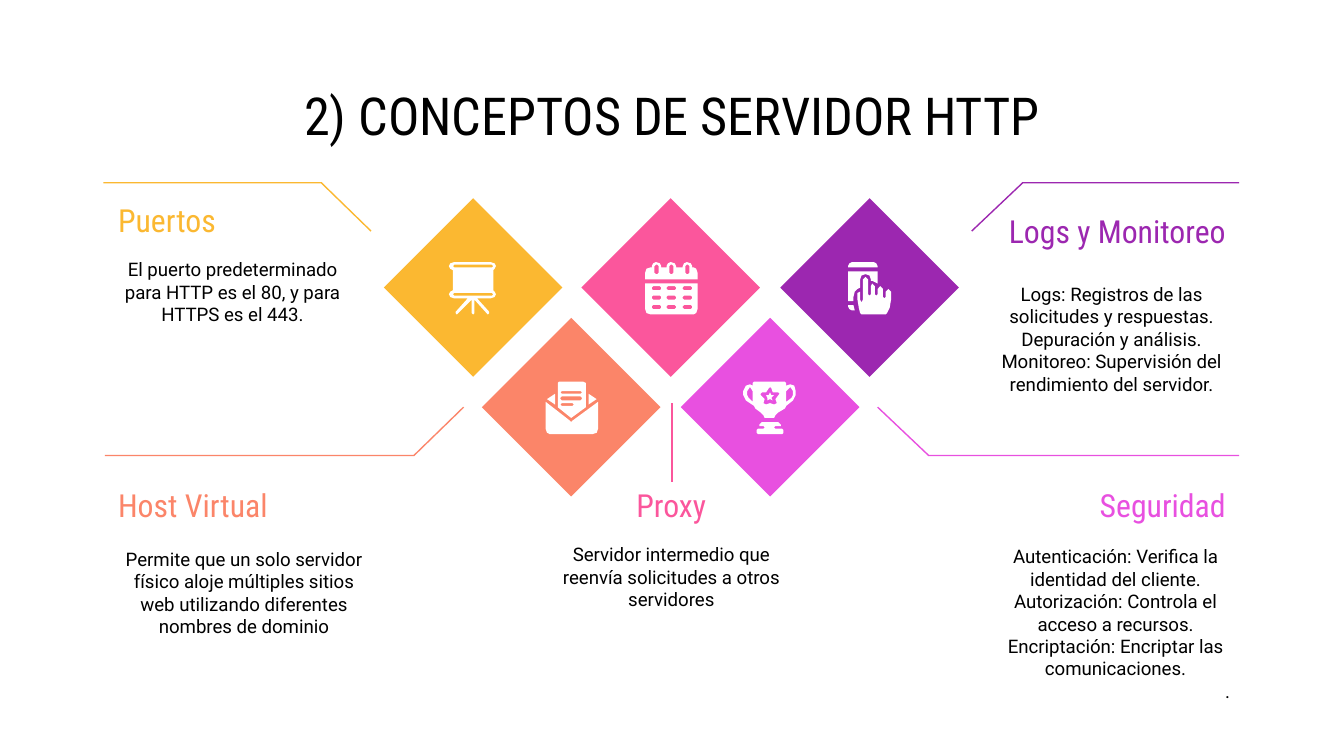
from itertools import product

from lxml import etree
from pptx import Presentation
from pptx.dml.color import RGBColor
from pptx.enum.shapes import MSO_CONNECTOR, MSO_SHAPE
from pptx.enum.text import MSO_ANCHOR, PP_ALIGN
from pptx.oxml.ns import qn
from pptx.util import Pt

PX = 9144
PAGE_WIDTH = 1000 * PX
PAGE_HEIGHT = PAGE_WIDTH * 9 // 16
RECTANGLE, STRAIGHT = MSO_SHAPE.RECTANGLE, MSO_CONNECTOR.STRAIGHT
MIDDLE = MSO_ANCHOR.MIDDLE
LEFT, CENTER, RIGHT = PP_ALIGN.LEFT, PP_ALIGN.CENTER, PP_ALIGN.RIGHT
COLORS = {"yellow": "FBB831", "pink": "FB569C", "purple": "9C27B0", "coral": "FB8569",
          "magenta": "E850E0", "white": "FFFFFF", "black": "000000"}
TITLE = {"font": {"name": "Roboto Condensed", "size": Pt(28)}, "margins": (0, 10)}
HEADING = {"font": {"name": "Roboto Condensed", "size": Pt(17)}, "margins": (10, 32)}
BODY = {"font": {"name": "Roboto", "size": Pt(10)}, "margins": (10, 10)}
DIAMOND_SIDE, ICON_INSET = 94, 28


def pill(left, top, right, bottom):
    """Return the outline of a bar with cut corners."""
    return [(left + 1, top), (right - 1, top), (right, top + 1), (right, bottom - 1),
            (right - 1, bottom), (left + 1, bottom), (left, bottom - 1), (left, top + 1)]


CALENDAR = [
    [[(0, 16), (0, 35), (1, 38), (4, 39), (36, 39), (38, 38), (39, 35), (39, 16)],
     *(pill(x, y, x + 7, y + 3) for y, x in product((18, 25, 32), (5, 16, 28)))],
    [[(0, 13), (0, 8), (1, 5), (4, 4),
      *((x + dx, y) for x in (5, 16, 28)
        for dx, y in ((0, 4), (0, 3), (1, 1), (3, 0), (6, 1), (7, 3), (7, 4))),
      (36, 4), (38, 5), (39, 8), (39, 13)],
     *(pill(x, 2, x + 3, 9) for x in (7, 18, 30))],
]
BOARD = [
    [[(5, 0), (2, 1), (1, 3), (2, 5), (4, 6), (4, 21), (2, 22), (1, 24), (2, 26), (5, 27),
      (15, 27), (6, 37), (6, 38), (7, 39), (8, 38), (18, 28), (18, 38), (19, 39), (20, 38),
      (20, 28), (29, 38), (30, 39), (31, 38), (31, 37), (22, 27), (32, 27), (35, 26),
      (36, 24), (35, 22), (34, 21), (34, 6), (35, 5), (36, 3), (35, 1), (32, 0)],
     pill(4, 2, 34, 4), pill(4, 23, 34, 25)],
]
ENVELOPE = [
    [[(0, 15), (0, 35), (1, 38), (3, 39), (35, 39), (38, 38), (39, 35), (39, 15),
      (20, 29), (19, 30), (18, 29)]],
    [[(32, 9), (32, 17), (38, 13)]],
    [[(7, 9), (1, 13), (7, 17)]],
    [[(10, 0), (9, 1), (9, 19), (19, 27), (30, 19), (30, 1), (28, 0)],
     pill(11, 7, 27, 9), pill(11, 11, 27, 14), pill(11, 16, 21, 18)],
]
TROPHY = [
    [[(7, 0), (6, 1), (6, 3), (4, 2), (1, 3), (-1, 7), (-1, 10), (1, 14), (7, 18), (8, 20),
      (12, 23), (14, 25), (15, 27), (22, 27), (23, 25), (25, 23), (30, 20), (31, 18),
      (36, 14), (38, 10), (38, 7), (37, 3), (34, 2), (31, 3), (31, 1), (30, 0)],
     [(4, 4), (6, 7), (6, 15), (3, 12), (2, 10), (2, 7)],
     [(34, 4), (36, 7), (36, 10), (35, 12), (31, 15), (31, 7)],
     [(19, 4), (20, 5), (21, 8), (25, 8), (26, 9), (23, 13), (24, 16), (22, 17), (19, 16),
      (16, 17), (14, 16), (15, 13), (12, 10), (12, 9), (13, 8), (16, 8), (18, 5)]],
    [[(13, 30), (11, 32), (11, 33), (14, 33), (15, 34), (14, 35), (10, 35), (9, 36),
      (9, 38), (10, 39), (28, 39), (29, 38), (29, 36), (28, 35), (23, 35), (22, 34),
      (23, 33), (27, 33), (27, 32), (25, 30)]],
    [[(19, 8), (18, 10), (16, 10), (17, 12), (17, 14), (19, 13), (21, 14), (20, 12),
      (22, 10), (20, 10)]],
]
PHONE = [
    [[(3, 32), (3, 33), (4, 35), (6, 36), (8, 36), (7, 32)]],
    [[(3, 7), (3, 29), (7, 29), (7, 26), (8, 22), (10, 20), (12, 19), (12, 13), (13, 10),
      (16, 9), (19, 10), (20, 13), (20, 14), (21, 14), (25, 16), (25, 7)]],
    [[(6, 0), (4, 1), (3, 3), (3, 4), (25, 4), (25, 3), (24, 1), (22, 0)]],
    [[(16, 11), (14, 13), (14, 28), (13, 30), (12, 28), (12, 22), (10, 23), (10, 28),
      (11, 34), (12, 38), (13, 39), (31, 39), (32, 38), (34, 34), (35, 28), (35, 22),
      (33, 20), (31, 22), (31, 26), (30, 27), (29, 26), (29, 20), (27, 18), (25, 20),
      (25, 24), (24, 25), (23, 24), (23, 18), (21, 16), (20, 18), (20, 24), (19, 25),
      (18, 24), (18, 13)]],
]
DIAMONDS = [
    ((305, 167), "yellow", BOARD), ((452, 167), "pink", CALENDAR),
    ((600, 167), "purple", PHONE), ((378, 256), "coral", ENVELOPE),
    ((526, 256), "magenta", TROPHY),
]
SECTIONS = [
    ((406, 360, 187, 31), "pink", "Proxy", CENTER, (0, 28, 187), [(94, -60), (94, -1)],
     [("Servidor intermedio que reenvía solicitudes a otros servidores", CENTER)]),
    ((735, 156, 187, 31), "purple", "Logs y Monitoreo", RIGHT, (-3, 55, 190),
     [(-12, 16), (26, -20), (187, -20)],
     [("Logs: Registros de las solicitudes y respuestas. Depuración y análisis.", CENTER),
      ("Monitoreo: Supervisión del rendimiento del servidor.", CENTER)]),
    ((78, 148, 161, 31), "yellow", "Puertos", LEFT, (0, 28, 190),
     [(198, 24), (161, -12), (-1, -12)],
     [("El puerto predeterminado para HTTP es el 80, y para HTTPS es el 443.", CENTER)]),
    ((78, 360, 161, 31), "coral", "Host Virtual", LEFT, (0, 40, 207),
     [(267, -57), (230, -21), (0, -21)],
     [("Permite que un solo servidor físico aloje múltiples sitios web utilizando "
       "diferentes nombres de dominio", CENTER)]),
    ((761, 360, 161, 31), "magenta", "Seguridad", RIGHT, (-26, 63, 190),
     [(-108, -57), (-70, -21), (161, -21)],
     [("Autenticación: Verifica la identidad del cliente.", CENTER),
      ("Autorización: Controla el acceso a recursos.", CENTER),
      ("Encriptación: Encriptar las comunicaciones.", CENTER),
      (".", RIGHT)]),
]


def rgb(color):
    """Look up a named colour."""
    return RGBColor.from_string(COLORS[color])


def paint(shape, color):
    """Fill a shape flat, with neither line nor shadow."""
    shape.shadow.inherit = False
    shape.fill.solid()
    shape.fill.fore_color.rgb = rgb(color)
    shape.line.fill.background()


def add_text(page, box, lines, style, color):
    """Write aligned paragraphs in a box, centred vertically."""
    frame = page.shapes.add_textbox(*(value * PX for value in box)).text_frame
    side, end = (value * PX for value in style["margins"])
    layout = {"word_wrap": True, "vertical_anchor": MIDDLE, "margin_left": side,
              "margin_right": side, "margin_top": end, "margin_bottom": end}
    for name, value in layout.items():
        setattr(frame, name, value)
    for index, (text, align) in enumerate(lines):
        para = frame.add_paragraph() if index else frame.paragraphs[0]
        para.alignment = align
        span = para.add_run()
        span.text = text
        for name, value in style["font"].items():
            setattr(span.font, name, value)
        span.font.color.rgb = rgb(color)


def add_outline(page, origin, contours, close):
    """Draw contours as one freeform, measured from an origin."""
    builder = page.shapes.build_freeform(*contours[0][0], scale=PX)
    builder.add_line_segments(contours[0][1:], close=close)
    for contour in contours[1:]:
        builder.move_to(*contour[0])
        builder.add_line_segments(contour[1:], close=close)
    return builder.convert_to_shape(*(value * PX for value in origin))


def add_leader(page, origin, points, color):
    """Draw a thin straight or bent line."""
    if len(points) == 2:
        ends = [(value + start) * PX for point in points for value, start in zip(point, origin)]
        leader = page.shapes.add_connector(STRAIGHT, *ends)
        etree.SubElement(leader._element.spPr, qn("a:effectLst"))
    else:
        leader = add_outline(page, origin, [points], False)
        leader.shadow.inherit = False
        leader.fill.background()
    leader.line.color.rgb = rgb(color)
    leader.line.width = Pt(0.75)


def add_diamond(page, corner, color, icon):
    """Place a turned square with a white icon in its middle."""
    box = (*corner, DIAMOND_SIDE, DIAMOND_SIDE)
    diamond = page.shapes.add_shape(RECTANGLE, *(value * PX for value in box))
    diamond.rotation = 45
    paint(diamond, color)
    origin = [value + ICON_INSET for value in corner]
    for contours in icon:
        paint(add_outline(page, origin, contours, True), "white")


def add_section(page, box, color, heading, align, body, points, lines):
    """Place a leader, a body and a heading around the heading box."""
    left, top = box[:2]
    shift, drop, width = body
    add_leader(page, (left, top), points, color)
    add_text(page, (left + shift, top + drop, width, 82), lines, BODY, "black")
    add_text(page, box, [(heading, align)], HEADING, color)


def main():
    """Build the slide and save it."""
    deck = Presentation()
    deck.slide_width, deck.slide_height = PAGE_WIDTH, PAGE_HEIGHT
    page = deck.slides.add_slide(deck.slide_layouts[6])
    add_text(page, (78, 59, 844, 52), [("2) CONCEPTOS DE SERVIDOR HTTP", CENTER)], TITLE, "black")
    for diamond in DIAMONDS:
        add_diamond(page, *diamond)
    for section in SECTIONS:
        add_section(page, *section)
    deck.save("out.pptx")


if __name__ == "__main__":
    main()
